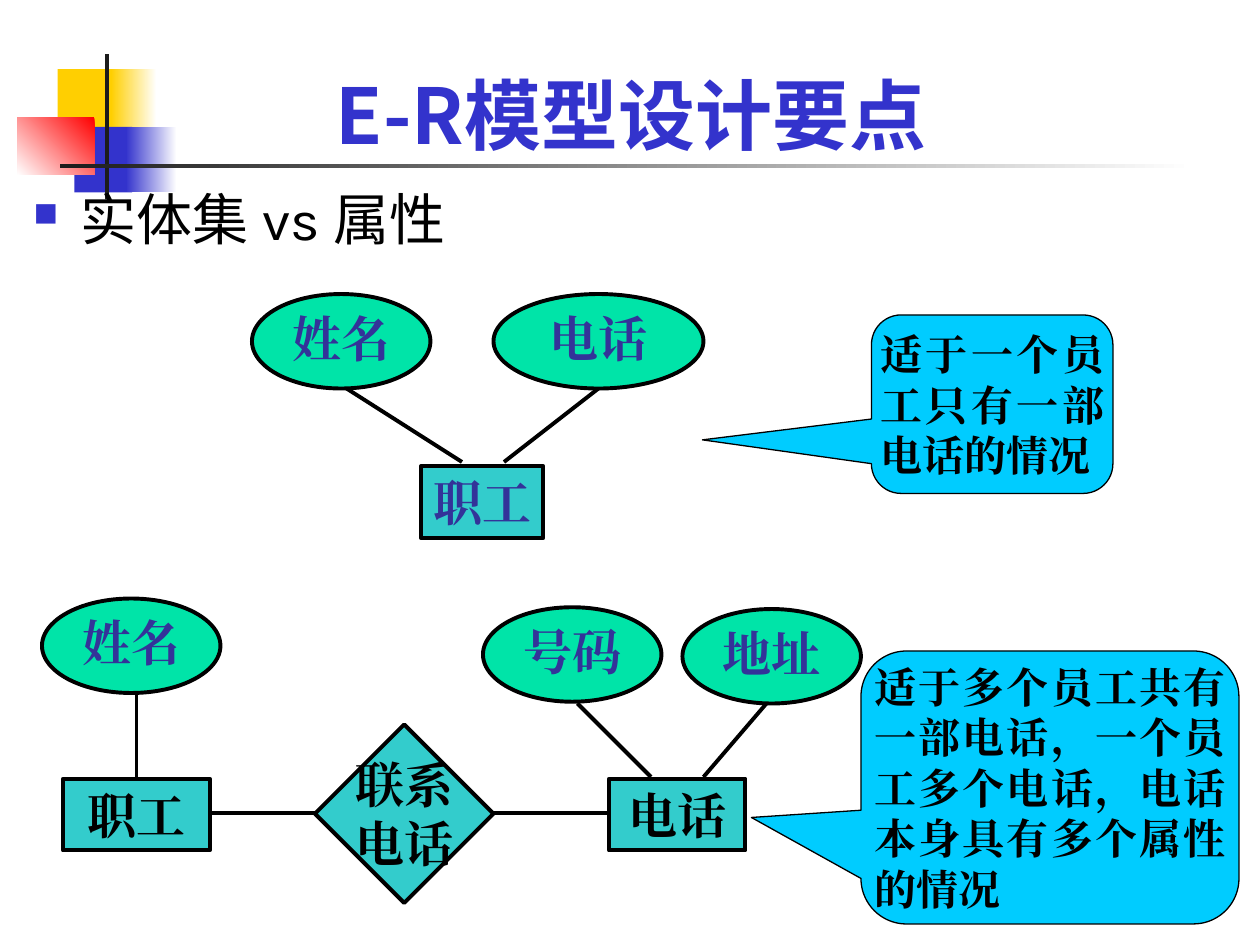
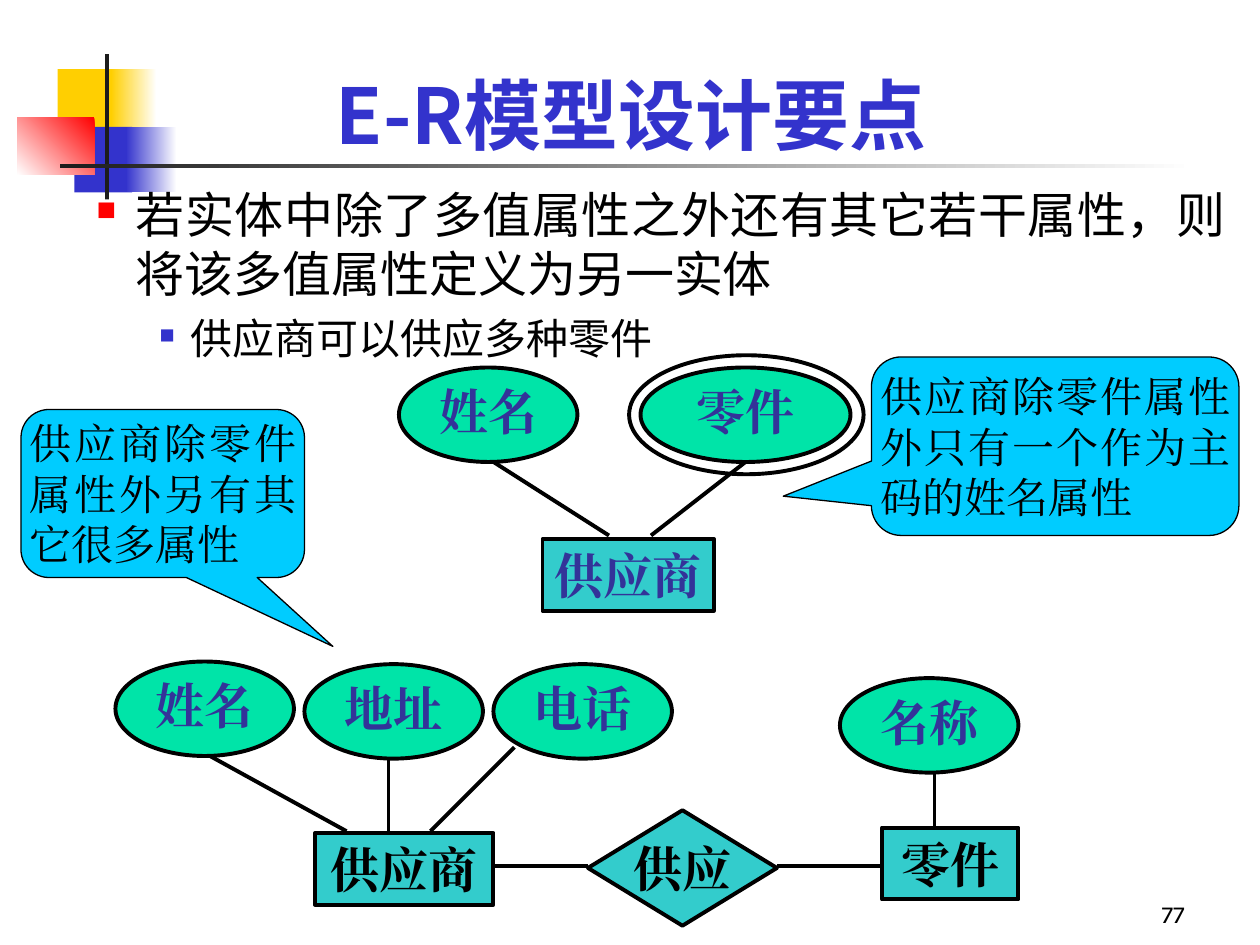
from typing import Any, NamedTuple

import pptx
import pptx.util
import pptx.dml.color
import pptx.enum.shapes
import pptx.enum.text
import pptx.oxml
import pptx.oxml.ns

Pt = pptx.util.Pt
MSO = pptx.enum.shapes.MSO_SHAPE
ALIGN = pptx.enum.text.PP_ALIGN
ANCHOR = pptx.enum.text.MSO_ANCHOR

COLORS = {
    "white": "FFFFFF", "black": "000000", "dark": "1C1C1C",
    "yellow": "FFCF01", "blue": "3333CC", "red": "FF0000",
    "box": "33CCCC", "oval": "00E4A8", "callout": "00CCFF", "navy": "333399",
}
TITLE_FONT, BODY_FONT, LABEL_FONT = "Noto Sans CJK SC", "Karla", "Times New Roman"
TITLE = "E-R模型设计要点"
OVAL_W, OVAL_H, BOX_H = 102, 54, 41


class Band(NamedTuple):
    x: float
    y: float
    w: float
    h: float
    start: str
    end: str = ""      # second gradient colour; empty for a solid band
    angle: float = 180


class Node(NamedTuple):
    text: str
    x: float
    y: float
    w: float
    h: float
    shape: Any
    fill: str
    color: str


class Link(NamedTuple):
    x1: float
    y1: float
    x2: float
    y2: float


class Callout(NamedTuple):
    text: str
    x: float
    y: float
    w: float
    h: float
    tip: tuple[float, float]
    bold: bool = False


class Bullet(NamedTuple):
    text: str
    size: float
    left: float
    hang: float
    mark: str
    percent: int
    before: float = 0


def oval(text: str, x: float, y: float, w: float = OVAL_W) -> Node:
    return Node(text, x, y, w, OVAL_H, MSO.OVAL, "oval", "navy")


def box(text: str, x: float, y: float, w: float, color: str = "black") -> Node:
    return Node(text, x, y, w, BOX_H, MSO.RECTANGLE, "box", color)


def diamond(text: str, x: float, y: float, w: float, h: float) -> Node:
    return Node(text, x, y, w, h, MSO.DIAMOND, "box", "black")


BANDS = [
    Band(33, 39.5, 34.5, 37.5, "yellow"),
    Band(63.5, 39.5, 26, 37.5, "white", "yellow"),
    Band(42.5, 72.5, 33, 37.5, "blue"),
    Band(72, 72.5, 29, 37.5, "white", "blue"),
    Band(10, 67, 44, 33, "red", "white", 225),
    Band(60, 31, 2.3, 83, "dark"),
    Band(34.5, 93.5, 648, 2.4, "white", "dark"),
]


def rgb(name: str) -> pptx.dml.color.RGBColor:
    return pptx.dml.color.RGBColor.from_string(COLORS[name])


def style_text(p, font: str, size: float, color: str, bold: bool = False,
               align=ALIGN.CENTER) -> None:
    p.alignment = align
    for r in p.runs:
        r.font.name, r.font.size, r.font.bold = font, Pt(size), bold
        r.font.color.rgb = rgb(color)
        ea = pptx.oxml.parse_xml(
            f'<a:ea {pptx.oxml.ns.nsdecls("a")} typeface="{font}"/>')
        r.font._element.find(pptx.oxml.ns.qn("a:latin")).addnext(ea)


def add_preset(s, shape, x: float, y: float, w: float, h: float,
               fill: str = "", line: float = 0):
    sp = s.shapes.add_shape(shape, Pt(x), Pt(y), Pt(w), Pt(h))
    sp.shadow.inherit = False
    if fill:
        sp.fill.solid()
        sp.fill.fore_color.rgb = rgb(fill)
    else:
        sp.fill.background()
    if line:
        sp.line.color.rgb = rgb("black")
        sp.line.width = Pt(line)
    else:
        sp.line.fill.background()
    return sp


def add_band(s, band: Band) -> None:
    sp = add_preset(s, MSO.RECTANGLE, *band[:4], band.start)
    if band.end:
        sp.fill.gradient()
        sp.fill.gradient_angle = band.angle
        for stop, color in zip(sp.fill.gradient_stops, (band.start, band.end)):
            stop.color.rgb = rgb(color)


def add_node(s, node: Node) -> None:
    sp = add_preset(s, node.shape, *node[1:5], node.fill, 2.25)
    tf = sp.text_frame
    tf.text = node.text
    tf.word_wrap = False
    tf.vertical_anchor = ANCHOR.MIDDLE
    for p in tf.paragraphs:
        style_text(p, LABEL_FONT, 28, node.color, True)
        if node.shape == MSO.OVAL:
            p.line_spacing = 0.9


def add_link(s, link: Link) -> None:
    cn = s.shapes.add_connector(pptx.enum.shapes.MSO_CONNECTOR.STRAIGHT,
                                *(Pt(v) for v in link))
    cn.line.color.rgb = rgb("black")
    cn.line.width = Pt(2.25)
    cn._element.spPr.append(pptx.oxml.parse_xml(
        f'<a:effectLst {pptx.oxml.ns.nsdecls("a")}/>'))


def add_callout(s, note: Callout) -> None:
    sp = add_preset(s, MSO.ROUNDED_RECTANGULAR_CALLOUT, *note[1:5], "callout", 0.75)
    sp.adjustments[0], sp.adjustments[1] = note.tip
    tf = sp.text_frame
    tf.text = note.text
    tf.word_wrap = True
    tf.vertical_anchor = ANCHOR.MIDDLE
    tf.margin_left = tf.margin_right = tf.margin_top = tf.margin_bottom = 0
    style_text(tf.paragraphs[0], LABEL_FONT, 24, "black", note.bold, ALIGN.JUSTIFY)


def add_textbox(s, x: float, y: float, w: float, h: float):
    tf = s.shapes.add_textbox(Pt(x), Pt(y), Pt(w), Pt(h)).text_frame
    tf.word_wrap = True
    return tf


def add_bullets(s, bullets: list[Bullet], h: float) -> None:
    tf = add_textbox(s, 12, 102, 696, h)
    tf.text = "\n".join(b.text for b in bullets)
    ns = pptx.oxml.ns.nsdecls("a")
    for p, b in zip(tf.paragraphs, bullets):
        pPr = p._p.get_or_add_pPr()
        pPr.set("marL", str(Pt(b.left)))
        pPr.set("indent", str(-Pt(b.hang)))
        for xml in (f'<a:buClr {ns}><a:srgbClr val="{COLORS[b.mark]}"/></a:buClr>',
                    f'<a:buSzPct {ns} val="{b.percent * 1000}"/>',
                    f'<a:buChar {ns} char="■"/>'):
            pPr.append(pptx.oxml.parse_xml(xml))
        if b.before:
            p.space_before = Pt(b.before)
        style_text(p, BODY_FONT, b.size, "black", align=ALIGN.JUSTIFY)


def add_page_number(s, number: str) -> None:
    tf = add_textbox(s, 534, 498, 150, 36)
    tf.text = number
    tf.vertical_anchor = ANCHOR.BOTTOM
    style_text(tf.paragraphs[0], BODY_FONT, 14, "black", align=ALIGN.RIGHT)


def add_slide(prs, bullets: list[Bullet], body_h: float, links: list[Link],
              nodes: list[Node], callouts: list[Callout]):
    s = prs.slides.add_slide(prs.slide_layouts[5])
    for band in BANDS:
        add_band(s, band)
    # Title
    title = s.shapes.title
    title.left, title.top, title.width, title.height = Pt(54), Pt(18), Pt(613.5), Pt(73.5)
    tf = title.text_frame
    tf.text = TITLE
    tf.vertical_anchor = ANCHOR.BOTTOM
    tf.margin_bottom = 0
    style_text(tf.paragraphs[0], TITLE_FONT, 44, "blue", True)
    # Body and diagram
    add_bullets(s, bullets, body_h)
    for link in links:
        add_link(s, link)
    for node in nodes:
        add_node(s, node)
    for note in callouts:
        add_callout(s, note)
    return s


def main() -> None:
    prs = pptx.Presentation()
    prs.slide_width, prs.slide_height = Pt(720), Pt(540)

    # Entity set or attribute
    add_slide(
        prs,
        [Bullet("实体集 vs 属性", 32, 27, 27, "blue", 60)], 438,
        [Link(342, 222, 288, 264), Link(264, 264, 198, 222),
         Link(120, 464.5, 180, 464.5), Link(282, 464.5, 348, 464.5),
         Link(78, 444, 78, 396), Link(372, 444, 330, 402), Link(402, 444, 438, 402)],
        [oval("姓名", 144, 168), oval("电话", 282, 168, 120),
         box("职工", 240.5, 266.5, 70, "navy"),
         box("职工", 36, 445, 84), box("电话", 348, 445, 78),
         diamond("联系\n电话", 180, 414, 102, 102),
         oval("姓名", 24, 342), oval("号码", 276, 347), oval("地址", 390, 348)],
        [Callout("适于一个员工只有一部电话的情况", 498, 180, 138, 102, (-1.2, 0.2), True),
         Callout("适于多个员工共有一部电话，一个员工多个电话，电话本身具有多个属性的情况",
                 492, 372, 216, 156, (-0.79, 0.11), True)],
    )

    # Multi-valued attribute as an entity
    s = add_slide(
        prs,
        [Bullet("若实体中除了多值属性之外还有其它若干属性，则将该多值属性定义为另一实体",
                28, 58.5, 22.5, "red", 55),
         Bullet("供应商可以供应多种零件", 24, 90, 18, "blue", 50, 6)], 120,
        [Link(426, 264, 372, 306), Link(348, 306, 282, 264),
         Link(276, 495, 336, 495), Link(444, 495, 504, 495),
         Link(534, 472, 534, 441), Link(198, 475, 120, 432),
         Link(222, 475, 222, 433.5), Link(246, 475, 294, 427)],
        [oval("姓名", 228, 210), oval("零件", 366, 210, 120),
         box("供应商", 310, 308, 98, "navy"),
         box("供应商", 180, 476, 102), box("零件", 504, 473, 78),
         diamond("供应", 336, 463, 108, 66), oval("名称", 480, 387.5),
         oval("姓名", 66, 378), oval("地址", 174, 379.5), oval("电话", 282, 379.5)],
        [Callout("供应商除零件属性外只有一个作为主码的姓名属性",
                 498, 204, 210, 102, (-0.74, 0.28)),
         Callout("供应商除零件属性外另有其它很多属性", 12, 234, 162, 96, (0.6, 0.91))],
    )
    # Outer ring of the multi-valued attribute
    add_preset(s, MSO.OVAL, 359.5, 203, 134, 68, line=2.25)
    add_page_number(s, "77")

    prs.save("out.pptx")


if __name__ == "__main__":
    main()
